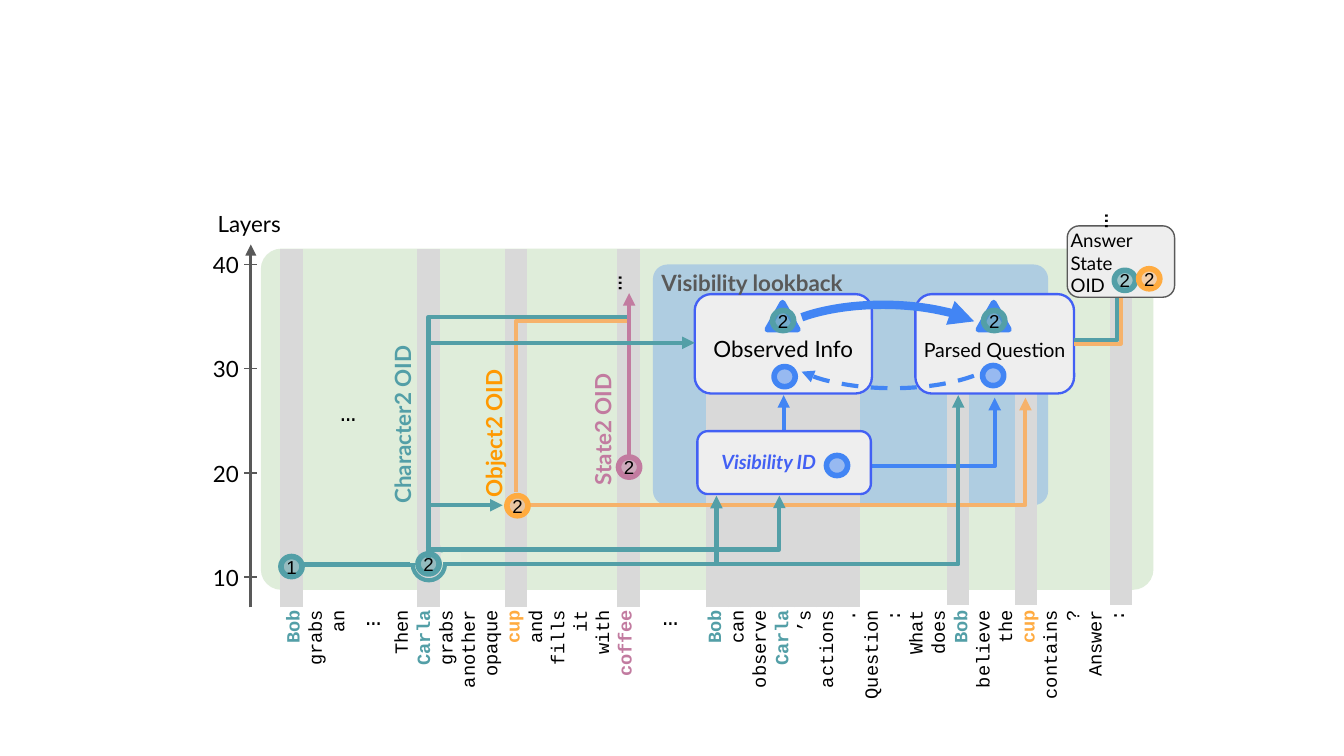
from lxml.etree import SubElement
from pptx import Presentation
from pptx.dml.color import RGBColor
from pptx.enum.dml import MSO_LINE
from pptx.enum.shapes import MSO_CONNECTOR as Link, MSO_SHAPE as Form
from pptx.enum.text import MSO_ANCHOR as Anchor, PP_ALIGN as Align
from pptx.oxml.ns import qn
from pptx.util import Cm, Pt

COLORS = {
    "black": "000000", "gray": "595959", "column": "D9D9D9", "card": "EEEEEE",
    "panel": "D9EAD3", "panel_flat": "E1EFDC", "teal": "539FA7",
    "orange": "F6B26B", "cup": "FFAB40", "object": "FF9900",
    "purple": "C27BA0", "lilac": "CEAABC", "blue": "4285F4", "indigo": "4260F4",
}


def color(name):
    return RGBColor.from_string(COLORS[name])


def frame(box, rotation=0):
    """Turn the visible box into the frame that is rotated into it."""
    x, y, w, h = box
    if rotation in (90, 270):
        x, y, w, h = x + (w - h) / 2, y + (h - w) / 2, h, w
    return [Cm(v) for v in (x, y, w, h)]


def write(shape, text, size=12, font="Lato", ink="black", bold=False, italic=False,
          align=Align.CENTER, anchor=Anchor.TOP, inset=0, top=None, wrap=True):
    body = shape.text_frame
    body.word_wrap, body.vertical_anchor = wrap, anchor
    body.margin_left = body.margin_right = body.margin_bottom = Cm(inset)
    body.margin_top = Cm(inset if top is None else top)
    body.text = text
    for paragraph in body.paragraphs:
        paragraph.alignment = align
        style = paragraph.font
        style.size, style.name, style.bold, style.italic = Pt(size), font, bold, italic
        style.color.rgb = color(ink)
    return body


def label(slide, box, text, rotation=0, **style):
    holder = slide.shapes.add_textbox(*frame(box, rotation))
    holder.rotation = rotation
    return write(holder, text, **style)


def dots(slide, x, y, rotation=0):
    label(slide, (x - 0.4, y - 0.43, 0.8, 0.86), "…", rotation, size=14,
          font="Courier New", align=Align.RIGHT, inset=0.2, wrap=False)


def form(slide, kind, box, fill=None, line=None, width=1.25, alpha=100, adj=(), rotation=0):
    shape = slide.shapes.add_shape(kind, *frame(box, rotation))
    shape.rotation = rotation
    shape.shadow.inherit = False
    for i, value in enumerate(adj):
        shape.adjustments[i] = value
    if fill:
        shape.fill.solid()
        shape.fill.fore_color.rgb = color(fill)
        if alpha < 100:
            tint = shape.element.spPr.find(qn("a:solidFill"))[0]
            SubElement(tint, qn("a:alpha"), val=str(alpha * 1000))
    else:
        shape.fill.background()
    if line:
        shape.line.color.rgb = color(line)
        shape.line.width = Pt(width)
    else:
        shape.line.fill.background()
    return shape


def arrowhead(shape):
    SubElement(shape.line._get_or_add_ln(), qn("a:tailEnd"), type="triangle")


def link(slide, start, end, ink, width=2.25, head=False, bent=False):
    """Straight line, or one that runs level first and then upright."""
    kind = Link.ELBOW if bent else Link.STRAIGHT
    line = slide.shapes.add_connector(kind, *(Cm(v) for v in (*start, *end)))
    line.line.color.rgb = color(ink)
    line.line.width = Pt(width)
    if bent:
        line.element.spPr.find(qn("a:prstGeom")).set("prst", "bentConnector2")
    if head:
        arrowhead(line)
    SubElement(line.element.spPr, qn("a:effectLst"))


def marker(slide, x, y, fill, line=None, text="", alpha=50):
    ring = form(slide, Form.OVAL, (x - 0.2, y - 0.19, 0.4, 0.38), fill, line or fill, 3, alpha)
    if text:
        write(ring, text, size=10, font="Arial", anchor=Anchor.MIDDLE, wrap=False)


def locator(box):
    """Return a function that moves a point into the box."""
    return lambda x, y: (box[0] + x, box[1] + y)


def columns(slide, at, xs, top, bottom):
    for x in xs:
        link(slide, at(x, bottom), at(x, top), "column", 12)


def axis(slide, box):
    at = locator(box)
    link(slide, at(1.13, box[3]), at(1.13, 0), "gray", 1.5, head=True)
    label(slide, (*at(0.2, -0.89), 1.8, 1.02), "Layers", inset=0.25, wrap=False)
    for i, layer in enumerate((40, 30, 20, 10)):
        y = 0.38 + 1.97 * i
        link(slide, at(1.01, y), at(1.24, y), "gray", 0.75)
        label(slide, (*at(0, y - 0.21), 1.32, 0.43), str(layer), anchor=Anchor.MIDDLE)


def story_panel(slide, box):
    at = locator(box)
    form(slide, Form.ROUNDED_RECTANGLE, box, "panel", alpha=82, adj=[0.06])
    columns(slide, at, (0.58, 3.17, 4.82, 6.95), 0, 6.78)
    columns(slide, at, (16.25,), 0.89, 6.73)
    for x, y, height, text, ink in ((2.42, 1.54, 3.28, "Character2 OID", "teal"),
                                    (4.14, 2.06, 2.64, "Object2 OID", "object"),
                                    (6.2, 1.88, 2.59, "State2 OID", "purple")):
        label(slide, (*at(x, y), 0.51, height), text, 270, ink=ink, bold=True,
              align=Align.LEFT, wrap=False)


def lookback(slide, box):
    at = locator(box)
    form(slide, Form.ROUNDED_RECTANGLE, box, "blue", alpha=30, adj=[0.06])
    columns(slide, at, [1.21 + 0.416 * i for i in range(7)], 2.42, 6.48)
    columns(slide, at, (5.77, 7.05), 2.42, 6.43)

    # Links from the visibility card, then the cards
    link(slide, at(4.12, 3.81), at(6.46, 2.52), "blue", head=True, bent=True)
    link(slide, at(2.47, 3.15), at(2.47, 2.47), "blue", head=True)
    for x, y, w, h, text, size, top in ((0.79, 0.56, 3.35, 1.88, "Observed Info", 12, 0.69),
                                        (4.96, 0.56, 3, 1.88, "Parsed Question", 10.5, 0.74),
                                        (0.84, 3.15, 3.28, 1.19, "", 10.5, 0)):
        card = form(slide, Form.ROUNDED_RECTANGLE, (*at(x, y), w, h), "card", "indigo")
        if text:
            write(card, text, size=size, top=top)
    label(slide, (*at(0.16, 0.08), 4.8, 0.51), "Visibility lookback", ink="gray",
          bold=True, align=Align.LEFT)
    label(slide, (*at(1.07, 3.51), 2.24, 0.51), "Visibility ID", size=10.5,
          ink="indigo", bold=True, italic=True, wrap=False)

    # Curved arrows between the cards
    for x, y, rotation, width in ((2.14, 0.76, 270, 4.5), (2.32, 0.66, 90, 2.25)):
        curve = form(slide, Form.ARC, (*at(x, y), 4.42, 1.68), line="blue", width=width,
                     adj=(174.88, 43.79), rotation=rotation)
        if rotation == 90:
            curve.line.dash_style = MSO_LINE.DASH
        arrowhead(curve)

    # Pointers and their payloads
    for x, y in ((2.49, 2.12), (6.43, 2.1), (3.48, 3.8)):
        marker(slide, *at(x, y), "blue")
    for x in (2.46, 6.45):
        form(slide, Form.ISOSCELES_TRIANGLE, (*at(x - 0.3, 0.72), 0.58, 0.51),
             "blue", "blue", 3, 50)
        marker(slide, *at(x, 1.06), "teal", text="2")


def flows(slide, box):
    at = locator(box)
    link(slide, at(6.96, 1.37), at(4.82, 4.6), "orange", 2, bent=True)
    link(slide, at(0.76, 5.97), at(2.84, 5.97), "teal")
    link(slide, at(5.05, 4.85), at(14.45, 2.82), "orange", head=True, bent=True)
    link(slide, at(8.61, 5.94), at(8.61, 4.67), "teal", head=True)

    # Half ring where the first character's line passes the second
    form(slide, Form.FLOWCHART_CONNECTOR, (*at(2.87, 5.66), 0.61, 0.61), None, "teal", 2.25)
    for x, y, w, h, fill in ((3.38, 5.74, 0.41, 0.23, "panel_flat"),
                             (2.82, 5.69, 0.15, 0.25, "panel_flat"),
                             (2.97, 5.61, 0.43, 0.43, "column")):
        form(slide, Form.RECTANGLE, (*at(x, y), w, h), fill)

    for x, y, fill, line, text, alpha in ((0.58, 6.01, "teal", "teal", "1", 50),
                                          (3.17, 5.96, "teal", "teal", "2", 50),
                                          (4.85, 4.86, "orange", "cup", "2", 50),
                                          (6.96, 4.13, "lilac", "purple", "2", 100)):
        marker(slide, *at(x, y), fill, line, text, alpha)

    for start, end, head in (((3.45, 5.97), (13.18, 2.77), True),
                             ((3.12, 5.69), (9.8, 4.67), True),
                             ((6.96, 1.29), (3.17, 5.84), False)):
        link(slide, at(*start), at(*end), "teal", head=head, bent=True)
    link(slide, at(3.17, 4.85), at(4.57, 4.85), "teal", head=True)
    link(slide, at(6.96, 3.94), at(6.96, 0.84), "purple", head=True)
    link(slide, at(3.17, 1.78), at(8.2, 1.78), "teal", head=True)
    for x, y, rotation in ((2.08, 6.86, 0), (7.69, 6.86, 0), (1.6, 3, 0), (7.06, 0.58, 90)):
        dots(slide, *at(x, y), rotation)


def answer(slide, box):
    at = locator(box)
    link(slide, at(0.13, 2.16), at(0.94, 1.24), "teal", bent=True)
    link(slide, at(0.13, 2.23), at(1.01, 1.04), "orange", bent=True)
    card = form(slide, Form.ROUNDED_RECTANGLE, box, "card", "gray", 0.75)
    write(card, "Answer State\nOID", size=10, align=Align.LEFT)
    marker(slide, *at(1.09, 1.03), "teal", text="2")
    marker(slide, *at(1.55, 1), "orange", "cup", "2")
    dots(slide, *at(1.01, -0.16), 90)


def tokens(slide, box):
    words = ("Bob grabs an Then Carla grabs another opaque cup and fills it with coffee "
             "Bob can observe Carla ’s actions . Question : What does Bob believe the cup "
             "contains ? Answer :").split()
    inks = {"Bob": "teal", "Carla": "teal", "cup": "cup", "coffee": "purple"}
    body = label(slide, box, "\n".join(words), 270, size=10, font="Courier New",
                 align=Align.RIGHT)
    previous = None
    for word, paragraph in zip(words, body.paragraphs):
        paragraph.line_spacing = Pt(12)
        # Room for the skipped words
        paragraph.space_before = Pt({"an": 22, "coffee": 36}.get(previous, 0))
        if word in inks:
            paragraph.font.bold = True
            paragraph.font.color.rgb = color(inks[word])
        previous = word


def main():
    deck = Presentation()
    deck.slide_width, deck.slide_height = Cm(25.4), Cm(14.29)
    slide = deck.slides.add_slide(deck.slide_layouts[6])
    panel = (4.93, 4.7, 16.87, 6.45)
    story_panel(slide, panel)
    axis(slide, (3.61, 4.62, 1.32, 6.86))
    tokens(slide, (5.31, 11.53, 16.23, 2.01))
    lookback(slide, (12.34, 5, 7.47, 4.55))
    flows(slide, panel)
    answer(slide, (20.17, 4.27, 2.03, 1.35))
    deck.save("out.pptx")


if __name__ == "__main__":
    main()
